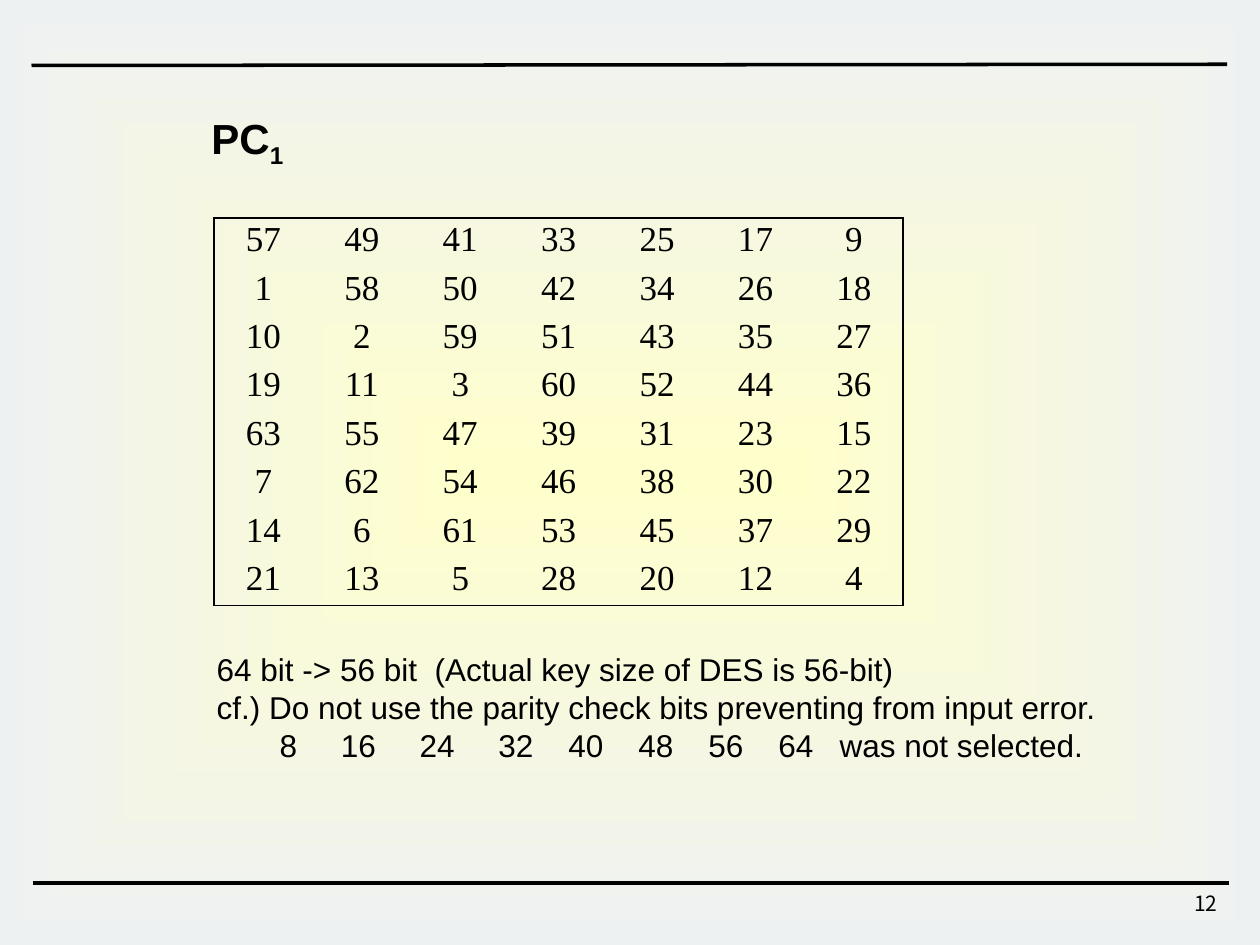
import pptx
import pptx.dml.color
import pptx.enum.shapes
import pptx.enum.text
import pptx.oxml
import pptx.oxml.ns
import pptx.util
from lxml import etree

Pt = pptx.util.Pt
RGBColor = pptx.dml.color.RGBColor
Align = pptx.enum.text.PP_ALIGN
qn = pptx.oxml.ns.qn

BLACK = RGBColor(0x00, 0x00, 0x00)
CREAM = RGBColor(0xFF, 0xFF, 0xCC)
MIST = RGBColor(0xEE, 0xF1, 0xF2)
PLAIN_STYLE = "{2D5ABB26-0587-4C30-8999-92F81FD0307C}"

PAGE_WIDTH, PAGE_HEIGHT = 720, 540
RULES = [(18, 37.44, 701.28, 36.72), (18.72, 504.72, 702, 504.72)]
PERMUTATION = [
    [57, 49, 41, 33, 25, 17, 9],
    [1, 58, 50, 42, 34, 26, 18],
    [10, 2, 59, 51, 43, 35, 27],
    [19, 11, 3, 60, 52, 44, 36],
    [63, 55, 47, 39, 31, 23, 15],
    [7, 62, 54, 46, 38, 30, 22],
    [14, 6, 61, 53, 45, 37, 29],
    [21, 13, 5, 28, 20, 12, 4],
]
COLUMN_WIDTH, ROW_HEIGHT = 56.26, 27.72
PARITY_BITS = [8, 16, 24, 32, 40, 48, 56, 64]
NOTES = [
    ("64 bit -> 56 bit\t(Actual key size of DES is 56-bit)", [124.6]),
    ("cf.) Do not use the parity check bits preventing from input error.", []),
    ("\t" + "\t".join(map(str, PARITY_BITS)) + "\twas not selected.",
     [36, 71, 116, 161, 201, 241, 281, 321, 356]),
]


def set_font(paragraph, name, size, bold=False):
    paragraph.font.name = name
    paragraph.font.size = Pt(size)
    paragraph.font.bold = bold
    paragraph.font.color.rgb = BLACK


def add_box(page, left, top, width, height, wrap=True):
    box = page.shapes.add_textbox(Pt(left), Pt(top), Pt(width), Pt(height))
    box.text_frame.word_wrap = wrap
    return box.text_frame


def add_backdrop(page):
    backdrop = page.shapes.add_shape(
        pptx.enum.shapes.MSO_SHAPE.RECTANGLE, 0, 0, Pt(PAGE_WIDTH), Pt(PAGE_HEIGHT))
    backdrop.shadow.inherit = False
    backdrop.line.fill.background()
    backdrop.fill.gradient()
    for stop, color, position in zip(backdrop.fill.gradient_stops, (CREAM, MIST), (0, 1)):
        stop.color.rgb = color
        stop.position = position
    gradient = backdrop._element.spPr.find(qn("a:gradFill"))
    gradient.remove(gradient.find(qn("a:lin")))
    shade = etree.SubElement(gradient, qn("a:path"), path="shape")
    etree.SubElement(shade, qn("a:fillToRect"), l="50000", t="50000", r="50000", b="50000")


def add_rule(page, ends):
    rule = page.shapes.add_connector(
        pptx.enum.shapes.MSO_CONNECTOR.STRAIGHT, *[Pt(value) for value in ends])
    rule.line.color.rgb = BLACK
    rule.line.width = Pt(2)
    etree.SubElement(rule._element.spPr, qn("a:effectLst"))


def add_borders(cell, sides):
    properties = cell._tc.get_or_add_tcPr()
    for index, side in enumerate(sides):
        border = etree.Element(qn("a:ln" + side), w=str(Pt(1)))
        fill = etree.SubElement(border, qn("a:solidFill"))
        etree.SubElement(fill, qn("a:srgbClr"), val=str(BLACK))
        properties.insert(index, border)


def add_permutation(page):
    rows, columns = len(PERMUTATION), len(PERMUTATION[0])
    table = page.shapes.add_table(
        rows, columns, Pt(122.4), Pt(124.56),
        Pt(COLUMN_WIDTH * columns), Pt(ROW_HEIGHT * rows)).table
    table.first_row = table.horz_banding = False
    table._tbl.tblPr.find(qn("a:tableStyleId")).text = PLAIN_STYLE
    for column in table.columns:
        column.width = Pt(COLUMN_WIDTH)
    for row_index, values in enumerate(PERMUTATION):
        table.rows[row_index].height = Pt(ROW_HEIGHT)
        for column_index, value in enumerate(values):
            cell = table.cell(row_index, column_index)
            cell.fill.background()
            cell.vertical_anchor = pptx.enum.text.MSO_ANCHOR.MIDDLE
            cell.text = str(value)
            paragraph = cell.text_frame.paragraphs[0]
            paragraph.alignment = Align.CENTER
            paragraph.line_spacing = 0.8
            set_font(paragraph, "Times New Roman", 20)
            outer = {"L": column_index == 0, "R": column_index == columns - 1,
                     "T": row_index == 0, "B": row_index == rows - 1}
            add_borders(cell, [side for side, shown in outer.items() if shown])


def add_title(page):
    paragraph = add_box(page, 113.76, 60.48, 56.88, 36, wrap=False).paragraphs[0]
    paragraph.add_run().text = "PC"
    subscript = paragraph.add_run()
    subscript.text = "1"
    subscript.font._element.set("baseline", "-25000")
    set_font(paragraph, "Arial", 24, bold=True)


def add_notes(page):
    frame = add_box(page, 123.84, 371.52, 511.2, 65.52)
    frame.margin_left = frame.margin_top = frame.margin_right = frame.margin_bottom = 0
    for index, (text, stops) in enumerate(NOTES):
        paragraph = frame.add_paragraph() if index else frame.paragraphs[0]
        paragraph.add_run().text = text
        if stops:
            tabs = etree.SubElement(paragraph._p.get_or_add_pPr(), qn("a:tabLst"))
            for stop in stops:
                etree.SubElement(tabs, qn("a:tab"), pos=str(Pt(stop)), algn="l")
        set_font(paragraph, "Arial", 18)


def add_page_number(page):
    paragraph = add_box(page, 552.96, 505.44, 149.76, 23.76).paragraphs[0]
    paragraph.add_run().text = "12"
    paragraph.alignment = Align.RIGHT
    set_font(paragraph, "Noto Sans CJK KR", 12)


def main():
    deck = pptx.Presentation()
    deck.slide_width, deck.slide_height = Pt(PAGE_WIDTH), Pt(PAGE_HEIGHT)
    page = deck.slides.add_slide(deck.slide_layouts[6])
    add_backdrop(page)
    for ends in RULES:
        add_rule(page, ends)
    add_page_number(page)
    add_title(page)
    add_permutation(page)
    add_notes(page)
    deck.save("out.pptx")


if __name__ == "__main__":
    main()
